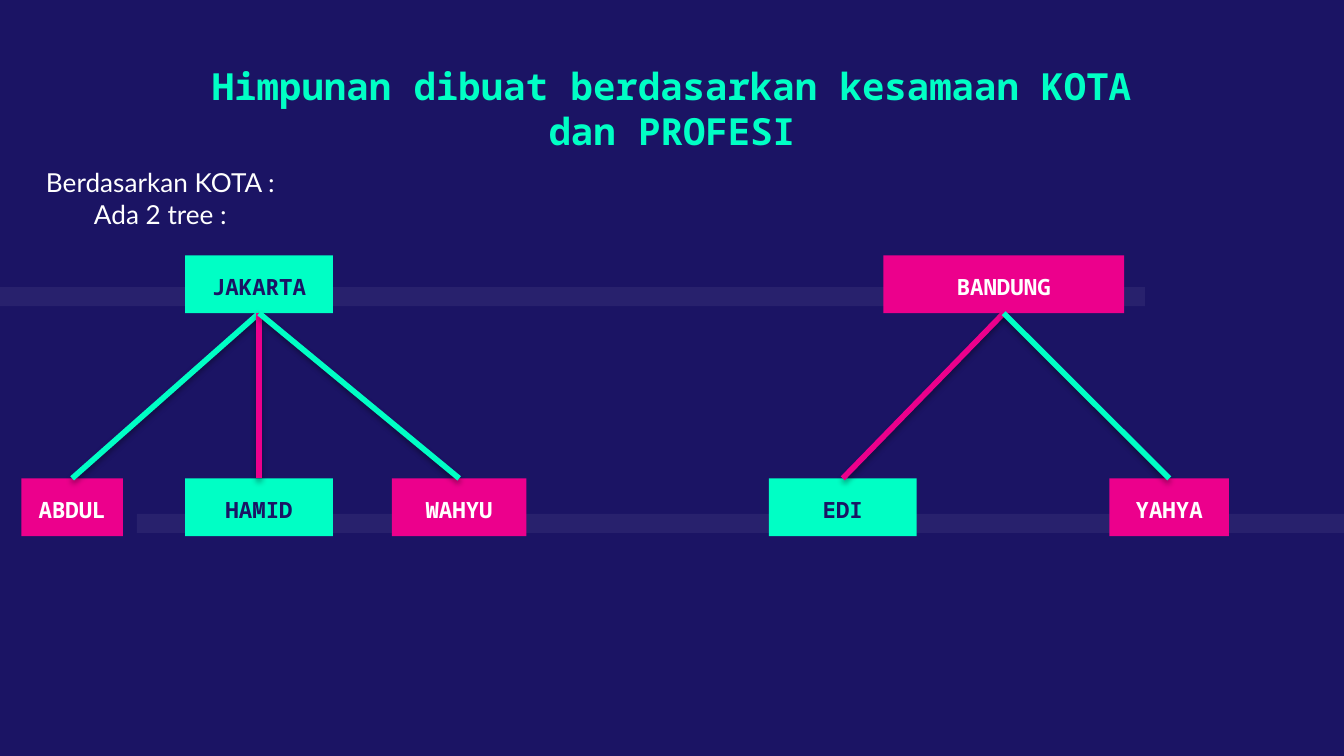
from dataclasses import dataclass

from lxml import etree
from pptx import Presentation
from pptx.dml.color import RGBColor
from pptx.enum.shapes import MSO_CONNECTOR, MSO_SHAPE
from pptx.enum.text import MSO_ANCHOR, PP_ALIGN
from pptx.oxml import parse_xml
from pptx.oxml.ns import nsdecls, qn
from pptx.util import Pt

CENTER = PP_ALIGN.CENTER
TOP, BOTTOM = MSO_ANCHOR.TOP, MSO_ANCHOR.BOTTOM
RECT = MSO_SHAPE.RECTANGLE
STRAIGHT = MSO_CONNECTOR.STRAIGHT
BOTTOM_SITE, TOP_SITE = 2, 0


@dataclass(frozen=True)
class Theme:
    navy: RGBColor = RGBColor(0x1B, 0x14, 0x64)
    mint: RGBColor = RGBColor(0x00, 0xFF, 0xC5)
    pink: RGBColor = RGBColor(0xEC, 0x00, 0x8C)
    white: RGBColor = RGBColor(0xFF, 0xFF, 0xFF)
    mono: str = "Noto Sans Mono"
    sans: str = "Lato"
    title_size: int = 20
    body_size: int = 14
    node_size: int = 12


THEME = Theme()
INSET = 7.2
NODE_HEIGHT = 31
ROOT_TOP, LEAF_TOP = 136.8, 256.3

# Each node is (name, left, width, fill); each leaf also has its line colour.
TREES = [
    (("JAKARTA", 99.2, 79.2, THEME.mint), [
        ("ABDUL", 11.5, 54.3, THEME.pink, THEME.mint),
        ("HAMID", 99.2, 79.2, THEME.mint, THEME.pink),
        ("WAHYU", 210, 72, THEME.pink, THEME.mint),
    ]),
    (("BANDUNG", 473.2, 129, THEME.pink), [
        ("EDI", 411.9, 79.2, THEME.mint, THEME.pink),
        ("YAHYA", 594.4, 64, THEME.pink, THEME.mint),
    ]),
]


def write(tf, lines, font, size, color, bold=False, anchor=TOP):
    tf.word_wrap = True
    tf.vertical_anchor = anchor
    tf.margin_left = tf.margin_right = Pt(INSET)
    tf.margin_top = tf.margin_bottom = Pt(INSET)
    tf.text = "\n".join(lines)
    for p in tf.paragraphs:
        p.alignment = CENTER
        p.font.name = font
        p.font.size = Pt(size)
        p.font.bold = bold
        p.font.color.rgb = color


def add_rect(slide, left, top, width, height, color):
    sp = slide.shapes.add_shape(RECT, Pt(left), Pt(top), Pt(width), Pt(height))
    sp.shadow.inherit = False
    sp.fill.solid()
    sp.fill.fore_color.rgb = color
    sp.line.fill.background()
    return sp


def add_band(slide, left, top, width):
    """Add a faint, almost transparent stripe to the background."""
    sp = add_rect(slide, left, top, width, 10.2, THEME.white)
    color = sp.fill._xPr.find(".//" + qn("a:srgbClr"))
    etree.SubElement(color, qn("a:alpha"), val="6000")


def add_title(slide, text):
    title = slide.shapes.title
    title.left, title.top = Pt(100.8), Pt(26.6)
    title.width, title.height = Pt(518.4), Pt(52.6)
    write(title.text_frame, [text], THEME.mono, THEME.title_size, THEME.mint, bold=True)


def add_caption(slide, lines):
    box = slide.shapes.add_textbox(Pt(11.5), Pt(82.1), Pt(149), Pt(52.6))
    write(box.text_frame, lines, THEME.sans, THEME.body_size, THEME.white)


def add_node(slide, top, name, left, width, fill):
    sp = add_rect(slide, left, top, width, NODE_HEIGHT, fill)
    color = THEME.navy if fill == THEME.mint else THEME.white
    write(sp.text_frame, [name], THEME.mono, THEME.node_size, color, bold=True, anchor=BOTTOM)
    return sp


def add_branch(slide, root, leaf, color):
    """Join root to leaf with a line that casts a soft shadow downwards."""
    line = slide.shapes.add_connector(STRAIGHT, 0, 0, 0, 0)
    line.begin_connect(root, BOTTOM_SITE)
    line.end_connect(leaf, TOP_SITE)
    line.line.color.rgb = color
    line.line.width = Pt(3)
    line._element.spPr.append(parse_xml(
        f'<a:effectLst {nsdecls("a")}>'
        '<a:outerShdw blurRad="40000" dist="23000" dir="5400000" rotWithShape="0">'
        '<a:srgbClr val="000000"><a:alpha val="35000"/></a:srgbClr>'
        '</a:outerShdw></a:effectLst>'))


def add_trees(slide):
    branches = []
    for root, leaves in TREES:
        root_sp = add_node(slide, ROOT_TOP, *root)
        for *leaf, color in leaves:
            branches.append((root_sp, add_node(slide, LEAF_TOP, *leaf), color))
    for branch in branches:
        add_branch(slide, *branch)


def main():
    prs = Presentation()
    prs.slide_width, prs.slide_height = Pt(720), Pt(405)
    slide = prs.slides.add_slide(prs.slide_layouts[5])
    slide.background.fill.solid()
    slide.background.fill.fore_color.rgb = THEME.navy

    add_band(slide, 0, 153.9, 613.4)
    add_band(slide, 73.4, 275.3, 646.6)
    add_title(slide, "Himpunan dibuat berdasarkan kesamaan KOTA dan PROFESI")
    add_caption(slide, ["Berdasarkan KOTA :", "Ada 2 tree :"])
    add_trees(slide)
    prs.save("out.pptx")


if __name__ == "__main__":
    main()
